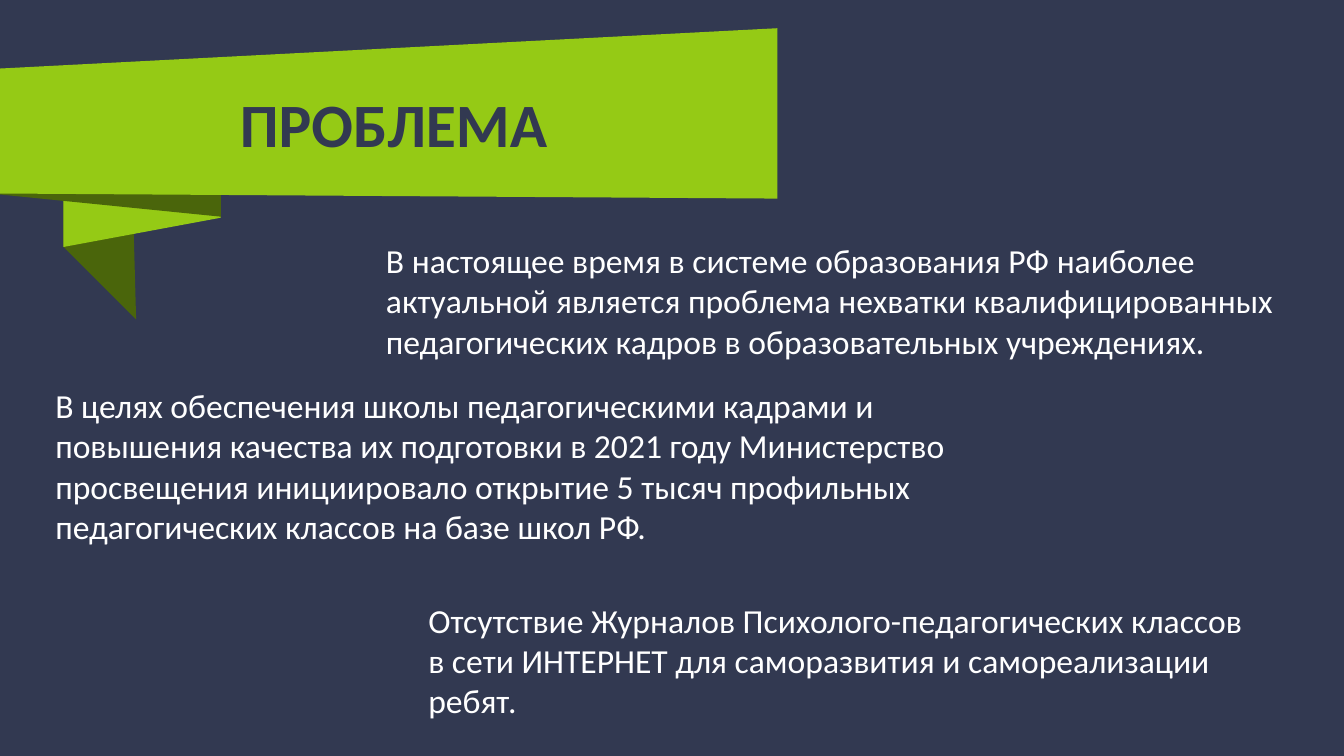
from dataclasses import dataclass

from pptx import Presentation
from pptx import util as u
from pptx.dml.color import RGBColor
from pptx.enum import text

PX = 9144


@dataclass(frozen=True)
class Theme:
    background: str = "323951"
    ribbon: str = "95CA15"
    fold: str = "4A650B"
    body: str = "FFFFFF"
    font: str = "Calibri"
    title_size: int = 44
    body_size: int = 24


THEME = Theme()


def px(n):
    return u.Emu(n * PX)


def add_band(s, box, points, color):
    left, top = box[:2]
    builder = s.shapes.build_freeform(*points[0], scale=PX)
    builder.add_line_segments(points[1:], close=True)
    sp = builder.convert_to_shape(px(left), px(top))
    sp.shadow.inherit = False
    sp.fill.solid()
    sp.fill.fore_color.rgb = RGBColor.from_string(color)
    sp.line.fill.background()


def add_text(s, box, content, size, color, bold=False):
    tf = s.shapes.add_textbox(*map(px, box)).text_frame
    tf.word_wrap = True
    p = tf.paragraphs[0]
    r = p.add_run()
    r.text = content
    r.font.name = THEME.font
    r.font.size = u.Pt(size)
    r.font.bold = bold
    r.font.color.rgb = RGBColor.from_string(color)
    return tf


def add_ribbon(s, box, title):
    left, top, width, height = box
    bands = [
        ([(135, 289), (63, 217), (63, 73), (132, 179)], THEME.fold),
        ([(219, 188), (63, 217), (63, 88), (219, 127)], THEME.ribbon),
        ([(219, 187), (0, 165), (0, 40), (219, 50)], THEME.fold),
        ([(0, 40), (width, 0), (width, height), (0, height - 5)], THEME.ribbon),
    ]
    for points, color in bands:
        add_band(s, box, points, color)
    title_box = (left + 198, top + 40, width - 198, 118)
    tf = add_text(s, title_box, title, THEME.title_size, THEME.background, bold=True)
    tf.vertical_anchor = text.MSO_ANCHOR.MIDDLE
    tf.margin_left = px(40)
    tf.paragraphs[0].line_spacing = 0.9


def add_statements(s, statements):
    for box, content in statements:
        add_text(s, box, content, THEME.body_size, THEME.body)


def main():
    prs = Presentation()
    prs.slide_width, prs.slide_height = px(1333), px(750)
    s = prs.slides.add_slide(prs.slide_layouts[6])
    s.background.fill.solid()
    s.background.fill.fore_color.rgb = RGBColor.from_string(THEME.background)
    add_ribbon(s, (0, 28, 771, 169), "ПРОБЛЕМА")
    add_statements(s, [
        ((373, 233, 940, 131),
         "В настоящее время в системе образования РФ наиболее актуальной "
         "является проблема нехватки квалифицированных педагогических кадров "
         "в образовательных учреждениях."),
        ((45, 377, 921, 212),
         "В целях обеспечения школы педагогическими кадрами и повышения "
         "качества их подготовки в 2021 году Министерство просвещения "
         "инициировало открытие 5 тысяч профильных педагогических классов "
         "на базе школ РФ."),
        ((415, 590, 850, 131),
         "Отсутствие Журналов Психолого-педагогических классов в сети "
         "ИНТЕРНЕТ для саморазвития и самореализации ребят."),
    ])
    prs.save("out.pptx")


if __name__ == "__main__":
    main()
